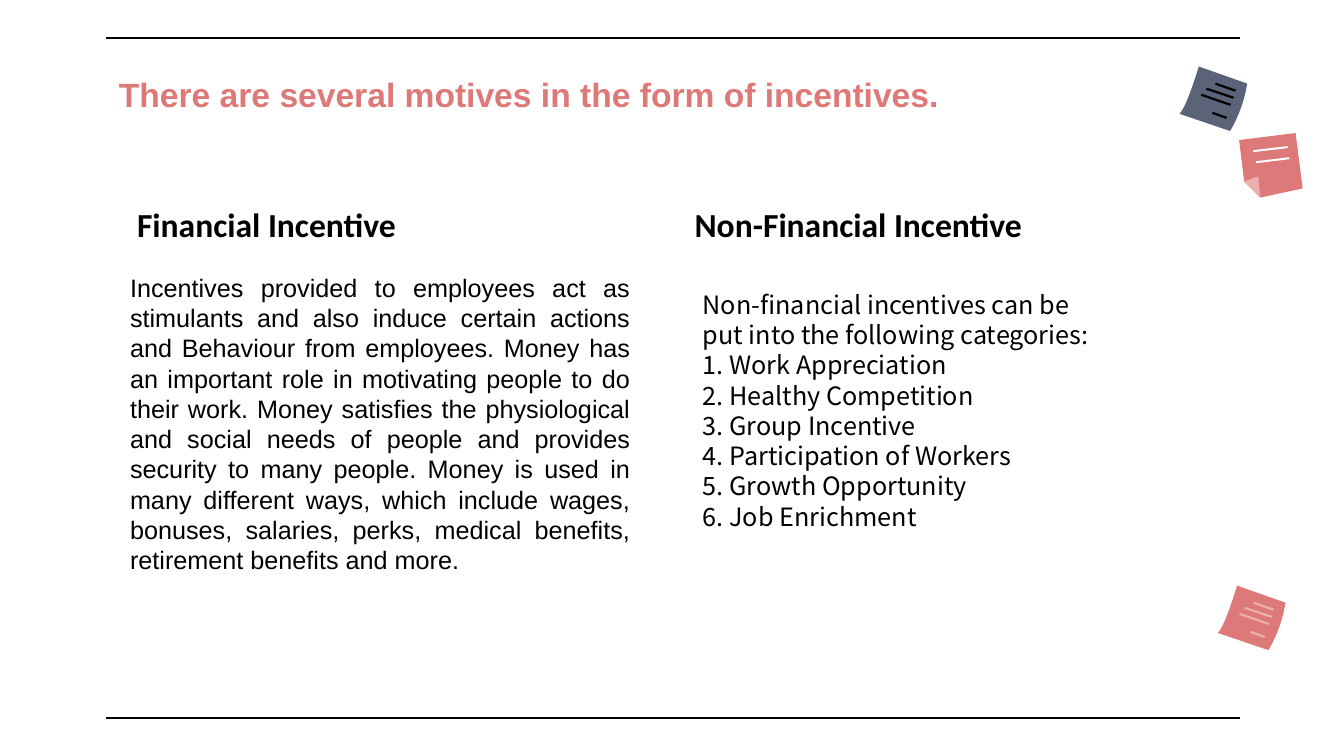
"""Build a slide comparing financial and non-financial incentives."""
import pptx
import pptx.dml.color
import pptx.enum.shapes
import pptx.enum.text
import pptx.oxml.ns
import pptx.util
from lxml import etree

Inches = pptx.util.Inches
Pt = pptx.util.Pt
ANCHOR = pptx.enum.text.MSO_ANCHOR
ALIGN = pptx.enum.text.PP_ALIGN

BLACK, WHITE, CORAL, BLUSH, SLATE = "000000", "FFFFFF", "DD7979", "EAAEAE", "5A6378"


def color(value):
    """Turn a hex string into a colour."""
    return pptx.dml.color.RGBColor.from_string(value)


def curve(start, first, second, end, steps=12):
    """Return points along a cubic curve, without its start."""
    points = []
    for step in range(1, steps + 1):
        t = step / steps
        u = 1 - t
        points.append(tuple(
            u ** 3 * a + 3 * u * u * t * b + 3 * u * t * t * c + t ** 3 * d
            for a, b, c, d in zip(start, first, second, end)))
    return points


class IncentiveSlide:
    """Hold the text styles and the slide being built."""

    styles = {
        "title": {"size": Pt(24), "name": "Arial", "bold": True},
        "heading": {"size": Pt(24), "name": "Calibri", "bold": True},
        "body": {"size": Pt(18), "name": "Arial"},
        "list": {"size": Pt(18), "name": "Noto Sans CJK JP"},
    }
    margin = Inches(0.13)

    def __init__(self, slide):
        """Keep the slide."""
        self.slide = slide

    def text(self, box, paragraphs, style, ink=BLACK, anchor=ANCHOR.TOP,
             spacing=0.9, align=ALIGN.LEFT):
        """Add a wrapped text box with one style."""
        frame = self.slide.shapes.add_textbox(*map(Inches, box)).text_frame
        frame_format = {"word_wrap": True, "vertical_anchor": anchor}
        for side in ("left", "top", "right", "bottom"):
            frame_format["margin_" + side] = self.margin
        for key, value in frame_format.items():
            setattr(frame, key, value)
        frame.text = "\n".join(paragraphs)
        for paragraph in frame.paragraphs:
            for key, value in {"line_spacing": spacing, "alignment": align}.items():
                setattr(paragraph, key, value)
            font = paragraph.runs[0].font
            for key, value in self.styles[style].items():
                setattr(font, key, value)
            font.color.rgb = color(ink)

    def rule(self, left, right, y):
        """Add a horizontal rule."""
        line = self.slide.shapes.add_connector(
            pptx.enum.shapes.MSO_CONNECTOR.STRAIGHT,
            Inches(left), Inches(y), Inches(right), Inches(y))
        line.line.width = Pt(1.5)
        line.line.color.rgb = color(BLACK)
        etree.SubElement(line._element.spPr, pptx.oxml.ns.qn("a:effectLst"))

    def outline(self, group, points, fill):
        """Add a closed, filled outline to a group."""
        corners = [(Inches(x), Inches(y)) for x, y in points]
        builder = group.shapes.build_freeform(*corners[0])
        builder.add_line_segments(corners[1:], close=True)
        shape = builder.convert_to_shape()
        shape.shadow.inherit = False
        shape.fill.solid()
        shape.fill.fore_color.rgb = color(fill)
        shape.line.fill.background()

    def note(self, parts, stripes, thickness, stripe_ink, dx=0, dy=0):
        """Add a sticky note made of paper parts and writing stripes."""
        group = self.slide.shapes.add_group_shape()
        tx, ty = thickness
        strokes = [([(x1, y1), (x2, y2), (x2 + tx, y2 + ty), (x1 + tx, y1 + ty)], stripe_ink)
                   for x1, y1, x2, y2 in stripes]
        for points, fill in parts + strokes:
            self.outline(group, [(x + dx, y + dy) for x, y in points], fill)


def main():
    """Build and save the slide."""
    deck = pptx.Presentation()
    deck.slide_width, deck.slide_height = Inches(13.33), Inches(7.5)
    page = IncentiveSlide(deck.slides.add_slide(deck.slide_layouts[6]))

    for y in (7.12, 0.38):
        page.rule(1.05, 12.3, y)

    folded_sheet = [(12.85, 1.32), (12.92, 1.87), (12.5, 1.96), (12.34, 1.8), (12.29, 1.39)]
    folded_corner = [(12.48, 1.75), (12.5, 1.96), (12.34, 1.8)]
    page.note([(folded_sheet, CORAL), (folded_corner, BLUSH)],
              [(12.43, 1.49, 12.77, 1.45), (12.46, 1.6, 12.79, 1.56)], (0, 0.02), WHITE)

    page.text((6.76, 1.75, 4.8, 0.81), ["Non-Financial Incentive"], "heading",
              anchor=ANCHOR.BOTTOM)
    page.text((1.05, 0.65, 11.23, 0.84),
              ["There are several motives in the form of incentives."], "title", CORAL)
    categories = ["Work Appreciation", "Healthy Competition", "Group Incentive",
                  "Participation of Workers", "Growth Opportunity", "Job Enrichment"]
    page.text((6.84, 2.74, 4.22, 3),
              ["Non-financial incentives can be put into the following categories:"]
              + [f"{number}. {category}" for number, category in enumerate(categories, 1)],
              "list", spacing=Pt(21.6))
    page.text((1.16, 2.57, 5.22, 4.16), [
        "Incentives provided to employees act as stimulants and also induce certain actions "
        "and Behaviour from employees. Money has an important role in motivating people to do "
        "their work. Money satisfies the physiological and social needs of people and provides "
        "security to many people. Money is used in many different ways, which include wages, "
        "bonuses, salaries, perks, medical benefits, retirement benefits and more."],
        "body", spacing=Pt(21.6), align=ALIGN.JUSTIFY)
    page.text((1.23, 1.75, 4.24, 0.81), ["Financial Incentive"], "heading",
              anchor=ANCHOR.BOTTOM)

    curled_sheet = ([(12.37, 0.83)]
                    + curve((12.37, 0.83), (12.33, 1.1), (12.2, 1.3), (12.2, 1.3))
                    + [(11.7, 1.13)]
                    + curve((11.7, 1.13), (11.78, 1.04), (11.89, 0.66), (11.89, 0.66)))
    writing = [(12.06, 0.82, 12.26, 0.89), (11.97, 0.87, 12.24, 0.96),
               (11.92, 0.93, 12.21, 1.03), (12.03, 1.11, 12.17, 1.16)]
    for paper, ink, dx, dy in ((SLATE, BLACK, 0, 0), (CORAL, BLUSH, 0.38, 5.15)):
        page.note([(curled_sheet, paper)], writing, (-0.01, 0.02), ink, dx, dy)

    deck.save("out.pptx")


if __name__ == "__main__":
    main()
